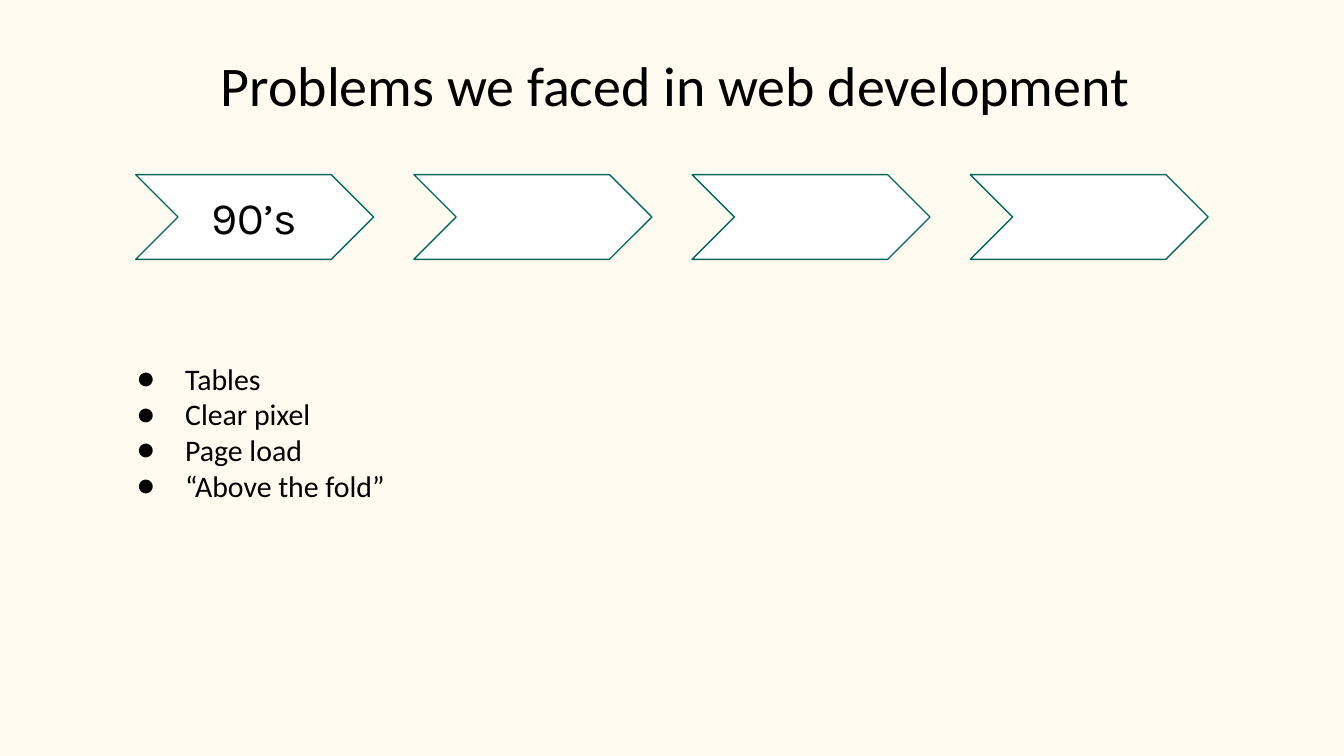
"""Build a slide about web development problems, with a row of era chevrons."""
from lxml.etree import SubElement
from pptx import Presentation
from pptx.dml.color import RGBColor
from pptx.enum.shapes import MSO_SHAPE
from pptx.enum.text import MSO_ANCHOR, PP_ALIGN
from pptx.oxml.ns import qn
from pptx.util import Inches, Pt


def color(value):
    return RGBColor.from_string(value)


def write(shape, lines, size, font, alignment, anchor=MSO_ANCHOR.TOP):
    frame = shape.text_frame
    frame.word_wrap = True
    frame.vertical_anchor = anchor
    frame.margin_left = frame.margin_right = Inches(0.1)
    frame.margin_top = frame.margin_bottom = Inches(0.1)
    frame.text = "\n".join(lines)
    for paragraph in frame.paragraphs:
        paragraph.alignment = alignment
        paragraph.font.size = Pt(size)
        paragraph.font.name = font
        paragraph.font.color.rgb = color("000000")
    return frame.paragraphs


presentation = Presentation()
presentation.slide_width = Inches(10)
presentation.slide_height = Inches(10) * 9 // 16
slide = presentation.slides.add_slide(presentation.slide_layouts[6])
slide.background.fill.solid()
slide.background.fill.fore_color.rgb = color("FFFBF0")

problems = ["Tables", "Clear pixel", "Page load", "“Above the fold”"]
problem_list = slide.shapes.add_textbox(Inches(0.78), Inches(2.58), Inches(2.37), Inches(2.15))
for paragraph in write(problem_list, problems, 16, "Calibri", PP_ALIGN.LEFT):
    properties = paragraph._p.get_or_add_pPr()
    properties.set("marL", str(Inches(0.5)))
    properties.set("indent", str(Inches(-0.36)))
    bullet_font = SubElement(properties, qn("a:buFont"), typeface="Calibri")
    bullet = SubElement(properties, qn("a:buChar"), char="●")
    properties.insert(0, bullet_font)
    properties.insert(1, bullet)

for index, era in enumerate(["90’s", "", "", ""]):
    chevron = slide.shapes.add_shape(
        MSO_SHAPE.CHEVRON, Inches(1.01 + 2.07 * index), Inches(1.3), Inches(1.77), Inches(0.63)
    )
    chevron.shadow.inherit = False
    chevron.fill.solid()
    chevron.fill.fore_color.rgb = color("FFFFFF")
    chevron.line.color.rgb = color("00695C")
    chevron.line.width = Pt(0.75)
    if era:
        write(chevron, [era], 24, "Karla", PP_ALIGN.CENTER, MSO_ANCHOR.MIDDLE)

title = slide.shapes.add_textbox(Inches(1.06), Inches(0.28), Inches(7.93), Inches(0.73))
write(title, ["Problems we faced in web development"], 30, "Calibri", PP_ALIGN.CENTER)

presentation.save("out.pptx")
